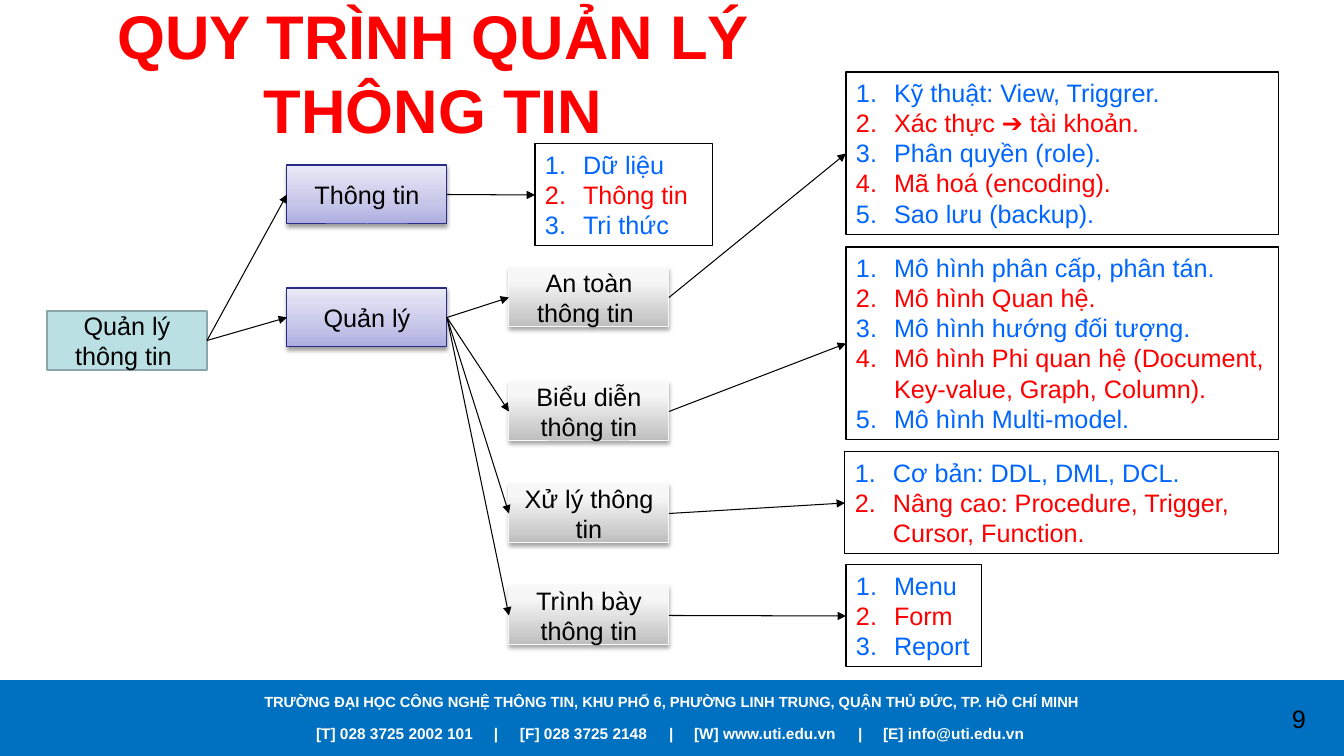
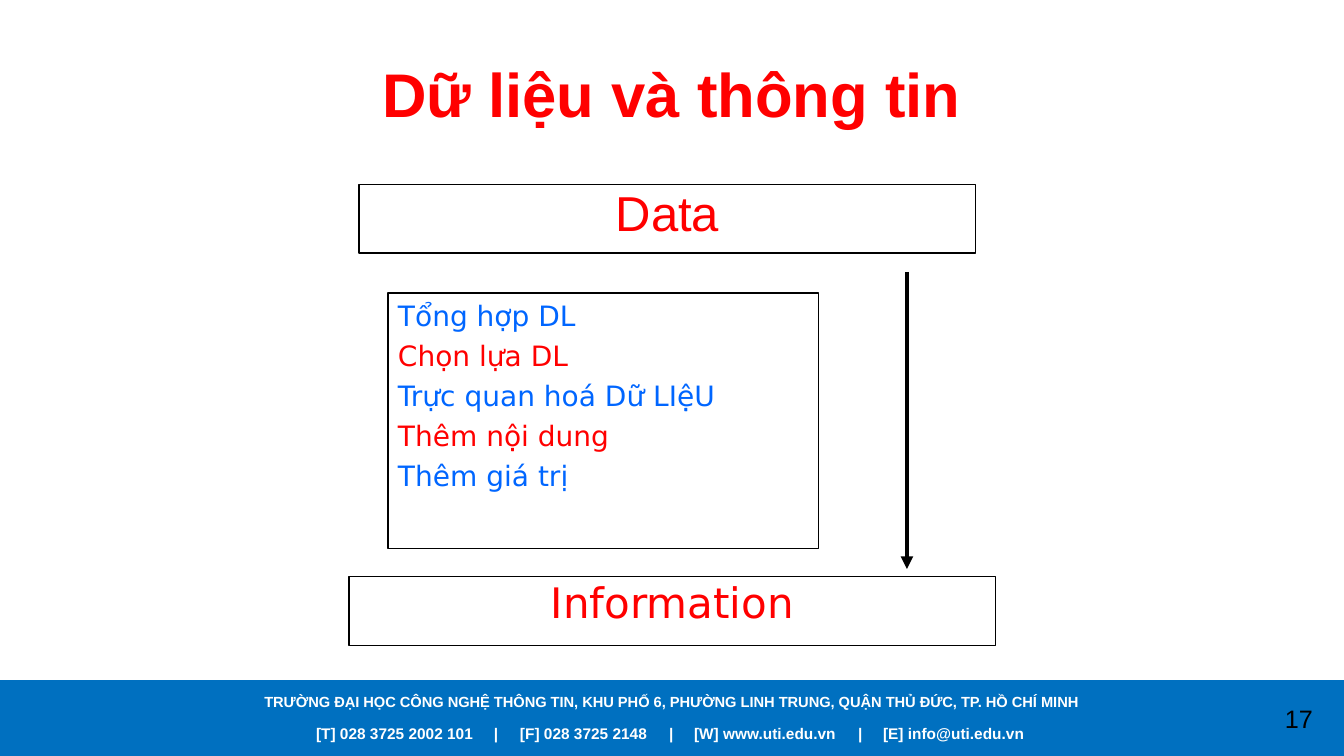
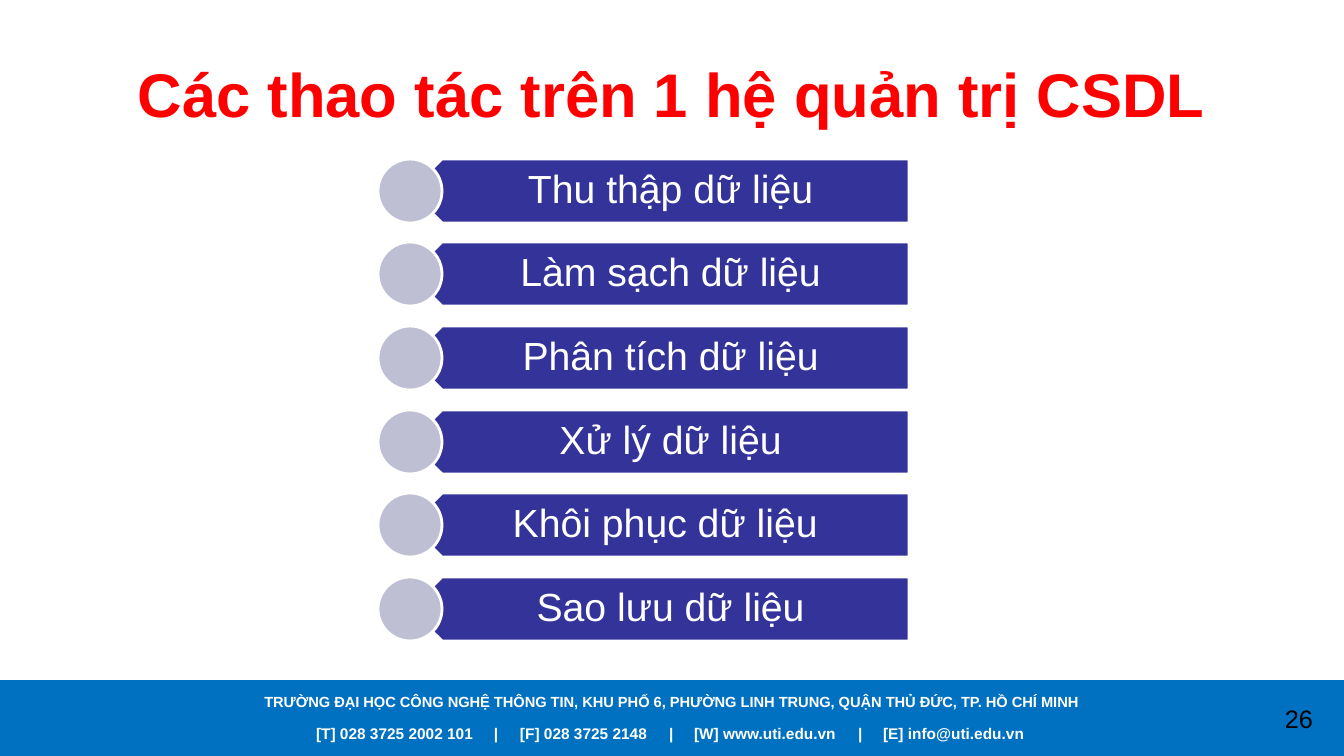
from itertools import cycle

from lxml.etree import SubElement
from pptx import Presentation
from pptx.dml.color import RGBColor
from pptx.enum.shapes import MSO_CONNECTOR as Link, MSO_SHAPE as Preset
from pptx.enum.text import MSO_ANCHOR as Anchor, MSO_AUTO_SIZE as Fit, PP_ALIGN as Align
from pptx.oxml.ns import qn
from pptx.util import Emu, Pt

SCALE = 12192000 / 1344
BLACK = RGBColor(0x00, 0x00, 0x00)
WHITE = RGBColor(0xFF, 0xFF, 0xFF)
RED = RGBColor(0xFF, 0x00, 0x00)
BLUE = RGBColor(0x00, 0x66, 0xFF)
BAND = RGBColor(0x00, 0x70, 0xC0)
TEAL = RGBColor(0xBB, 0xE0, 0xE3)
TEAL_EDGE = RGBColor(0x8A, 0xA6, 0xA8)
INDIGO = RGBColor(0x33, 0x33, 0x99)
INDIGO_EDGE = RGBColor(0x2A, 0x2A, 0x89)
SILVER_EDGE = RGBColor(0xF9, 0xF9, 0xF9)
LAVENDER = RGBColor(0xBF, 0xBF, 0xD4)

LILAC = {"stops": [(0, "ADADE1"), (35, "C6C6E9"), (100, "E9E9F7")],
         "distance": 20000, "alpha": 38}
SILVER = {"stops": [(0, "BEBEBE"), (80, "F7F7F7"), (100, "F8F8F8")],
          "distance": 23000, "alpha": 35}
ROOT_STYLE = {"fill": TEAL, "edge": TEAL_EDGE, "weight": 2}
BRANCH_STYLE = {"gradient": LILAC, "edge": INDIGO_EDGE}
TASK_STYLE = {"gradient": SILVER, "edge": SILVER_EDGE}

SCHOOL = ("TRƯỜNG ĐẠI HỌC CÔNG NGHỆ THÔNG TIN, KHU PHỐ 6, PHƯỜNG LINH TRUNG, "
          "QUẬN THỦ ĐỨC, TP. HỒ CHÍ MINH")
CONTACTS = ["[T] 028 3725 2002 101", "[F] 028 3725 2148",
            "[W] www.uti.edu.vn", "[E] info@uti.edu.vn"]
CONTACT_TABS = [178, 204, 353, 378, 542, 567]


def px(length):
    return Emu(round(length * SCALE))


def assign(target, formats):
    for name, value in formats.items():
        setattr(target, name, value)


def add_xml(parent, tag, **attributes):
    return SubElement(parent, qn(tag), {k: str(v) for k, v in attributes.items()})


class Deck:
    """Holds the shared style and the slide being drawn."""

    def __init__(self, prs):
        self.prs = prs
        assign(prs, {"slide_width": px(1344), "slide_height": px(756)})
        self.layout = prs.slide_layouts[5]
        self.slide = None
        for holder in list(self.layout.placeholders):
            if holder.placeholder_format.idx:
                holder.element.getparent().remove(holder.element)

    def start(self, title, number, area=(67, 30, 1210, 126)):
        first = self.slide is None
        self.slide = self.prs.slides.add_slide(self.layout)
        heading = self.slide.shapes.title
        assign(heading, dict(zip(("left", "top", "width", "height"), map(px, area))))
        self.put_text(heading, [title], 44, [RED], bold=True, anchor=Anchor.MIDDLE)
        if first:
            self.footer()
        self.label((1254, 698, 90, 40), str(number), 18, [BLACK])

    def footer(self):
        band = self.shape((0, 680, 1344, 76), fill=BAND)
        school = self.label((0, 688, 1344, 28), SCHOOL, 10.5, [WHITE], bold=True)
        contacts = self.label((306, 719, 800, 29), "\t|\t".join(CONTACTS), 11, [WHITE],
                              bold=True, align=Align.LEFT)
        tabs = add_xml(contacts.element.find(".//" + qn("a:pPr")), "a:tabLst")
        for stop in CONTACT_TABS:
            add_xml(tabs, "a:tab", pos=px(stop), algn="l")
        for part in (band, school, contacts):
            self.layout.shapes.element.append(part.element)

    def put_text(self, shape, lines, size, colours, font="Arial", bold=False,
                 align=Align.CENTER, anchor=Anchor.TOP, before=0, spacing=1.0,
                 numbered=False, insets=(10, 5, 10, 5)):
        frame = shape.text_frame
        sides = ("margin_left", "margin_top", "margin_right", "margin_bottom")
        assign(frame, {"word_wrap": True, "auto_size": Fit.NONE,
                       "vertical_anchor": anchor, **dict(zip(sides, map(px, insets)))})
        for index, (line, colour) in enumerate(zip(lines, cycle(colours))):
            paragraph = frame.add_paragraph() if index else frame.paragraphs[0]
            assign(paragraph, {"alignment": align, "space_before": Pt(before),
                               "line_spacing": spacing})
            run = paragraph.add_run()
            run.text = line
            assign(run.font, {"name": font, "size": Pt(size), "bold": bold})
            run.font.color.rgb = colour
        if numbered:
            for props in shape.element.iter(qn("a:pPr")):
                props.set("marL", str(px(38)))
                props.set("indent", str(-px(38)))
                add_xml(props, "a:buFont", typeface=font)
                add_xml(props, "a:buAutoNum", type="arabicPeriod")

    def label(self, area, text, size, colours, **formats):
        box = self.slide.shapes.add_textbox(*map(px, area))
        self.put_text(box, [text], size, colours, **formats)
        return box

    def shape(self, area, preset=Preset.RECTANGLE, fill=None, edge=None,
              weight=0.75, gradient=None):
        shape = self.slide.shapes.add_shape(preset, *map(px, area))
        shape.shadow.inherit = False
        if gradient:
            self.shade(shape, **gradient)
        elif fill is not None:
            shape.fill.solid()
            shape.fill.fore_color.rgb = fill
        else:
            shape.fill.background()
        if edge is not None:
            shape.line.color.rgb = edge
            shape.line.width = Pt(weight)
        else:
            shape.line.fill.background()
        return shape

    def shade(self, shape, stops, distance, alpha):
        props = shape.element.spPr
        gradient = add_xml(props, "a:gradFill", rotWithShape=1)
        props.insert(2, gradient)
        scale = add_xml(gradient, "a:gsLst")
        for position, colour in stops:
            add_xml(add_xml(scale, "a:gs", pos=position * 1000), "a:srgbClr", val=colour)
        add_xml(gradient, "a:lin", ang=16200000, scaled=0)
        shadow = add_xml(props.find(qn("a:effectLst")), "a:outerShdw", blurRad=40000,
                         dist=distance, dir=5400000, rotWithShape=0)
        add_xml(add_xml(shadow, "a:srgbClr", val="000000"), "a:alpha", val=alpha * 1000)

    def node(self, area, text, style):
        node = self.shape(area, **style)
        self.put_text(node, [text], 18, [BLACK], anchor=Anchor.MIDDLE)
        return node

    def panel(self, area, lines, size, colours, **formats):
        panel = self.shape(area, edge=BLACK)
        self.put_text(panel, lines, size, colours, **formats)
        return panel

    def numbered(self, area, lines):
        return self.panel(area, lines, 18, [BLUE, RED], align=Align.LEFT, numbered=True)

    def arrow(self, start=(0, 0), end=(0, 0), weight=0.75):
        arrow = self.slide.shapes.add_connector(Link.STRAIGHT, *map(px, start + end))
        arrow.line.color.rgb = BLACK
        arrow.line.width = Pt(weight)
        props = arrow.element.spPr
        add_xml(props.find(qn("a:ln")), "a:tailEnd", type="triangle")
        add_xml(props, "a:effectLst")
        return arrow

    def join(self, source, target):
        arrow = self.arrow()
        arrow.begin_connect(source, 3)
        arrow.end_connect(target, 1)


def process_slide(deck):
    deck.start("QUY TRÌNH QUẢN LÝ THÔNG TIN", 9, (17, 22, 833, 99))
    root = deck.node((47, 311, 160, 59), "Quản lý thông tin ", ROOT_STYLE)
    information = deck.node((287, 165, 160, 59), "Thông tin", BRANCH_STYLE)
    management = deck.node((287, 288, 160, 59), "Quản lý", BRANCH_STYLE)
    tasks = [deck.node((509, top, 160, 59), text, TASK_STYLE) for top, text in (
        (268, "An toàn thông tin "),
        (382, "Biểu diễn thông tin"),
        (484, "Xử lý thông tin"),
        (586, "Trình bày thông tin"))]
    levels = deck.numbered((535, 144, 178, 102), ["Dữ liệu", "Thông tin", "Tri thức"])
    details = [deck.numbered(area, lines) for area, lines in (
        ((846, 72, 433, 163), ["Kỹ thuật: View, Triggrer.", "Xác thực ➔ tài khoản.",
                               "Phân quyền (role).", "Mã hoá (encoding).",
                               "Sao lưu (backup)."]),
        ((846, 247, 433, 193), ["Mô hình phân cấp, phân tán.", "Mô hình Quan hệ.",
                                "Mô hình hướng đối tượng.",
                                "Mô hình Phi quan hệ (Document, Key-value, Graph, Column).",
                                "Mô hình Multi-model."]),
        ((845, 452, 434, 102), ["Cơ bản: DDL, DML, DCL.",
                                "Nâng cao: Procedure, Trigger, Cursor, Function."]),
        ((846, 565, 136, 102), ["Menu", "Form", "Report"]))]
    links = [(root, information), (root, management), (information, levels)]
    links += [(management, task) for task in tasks]
    links += zip(tasks, details)
    for source, target in links:
        deck.join(source, target)


def data_slide(deck):
    deck.start("Dữ liệu và thông tin", 17)
    deck.panel((359, 184, 617, 69), ["Data"], 35, [RED], before=8, spacing=0.9)
    deck.panel((349, 577, 647, 69), ["Information"], 30, [RED], font="DejaVu Sans",
               before=7, spacing=0.9)
    deck.panel((388, 293, 431, 256),
               ["Tổng hợp DL", "Chọn lựa DL", "Trực quan hoá Dữ LIệU",
                "Thêm nội dung", "Thêm giá trị"],
               20, [BLUE, RED], font="DejaVu Sans", align=Align.LEFT, before=4.6)
    deck.arrow((907, 272), (907, 569), 3)


def operations_slide(deck):
    deck.start("Các thao tác trên 1 hệ quản trị CSDL", 26)
    operations = ["Thu thập dữ liệu", "Làm sạch dữ liệu", "Phân tích dữ liệu",
                  "Xử lý dữ liệu", "Khôi phục dữ liệu ", "Sao lưu dữ liệu"]
    for row, operation in enumerate(operations):
        top = 159 + row * 251 // 3
        banner = deck.shape((410, top, 499, 64), Preset.PENTAGON, INDIGO, WHITE, 2)
        banner.rotation = 180
        deck.label((426, top, 483, 64), operation, 28, [WHITE], anchor=Anchor.MIDDLE,
                   spacing=0.9, insets=(28, 12, 22, 12))
        deck.shape((378, top, 64, 64), Preset.OVAL, LAVENDER, WHITE, 2)


def main():
    prs = Presentation()
    deck = Deck(prs)
    process_slide(deck)
    data_slide(deck)
    operations_slide(deck)
    prs.save("out.pptx")


if __name__ == "__main__":
    main()
